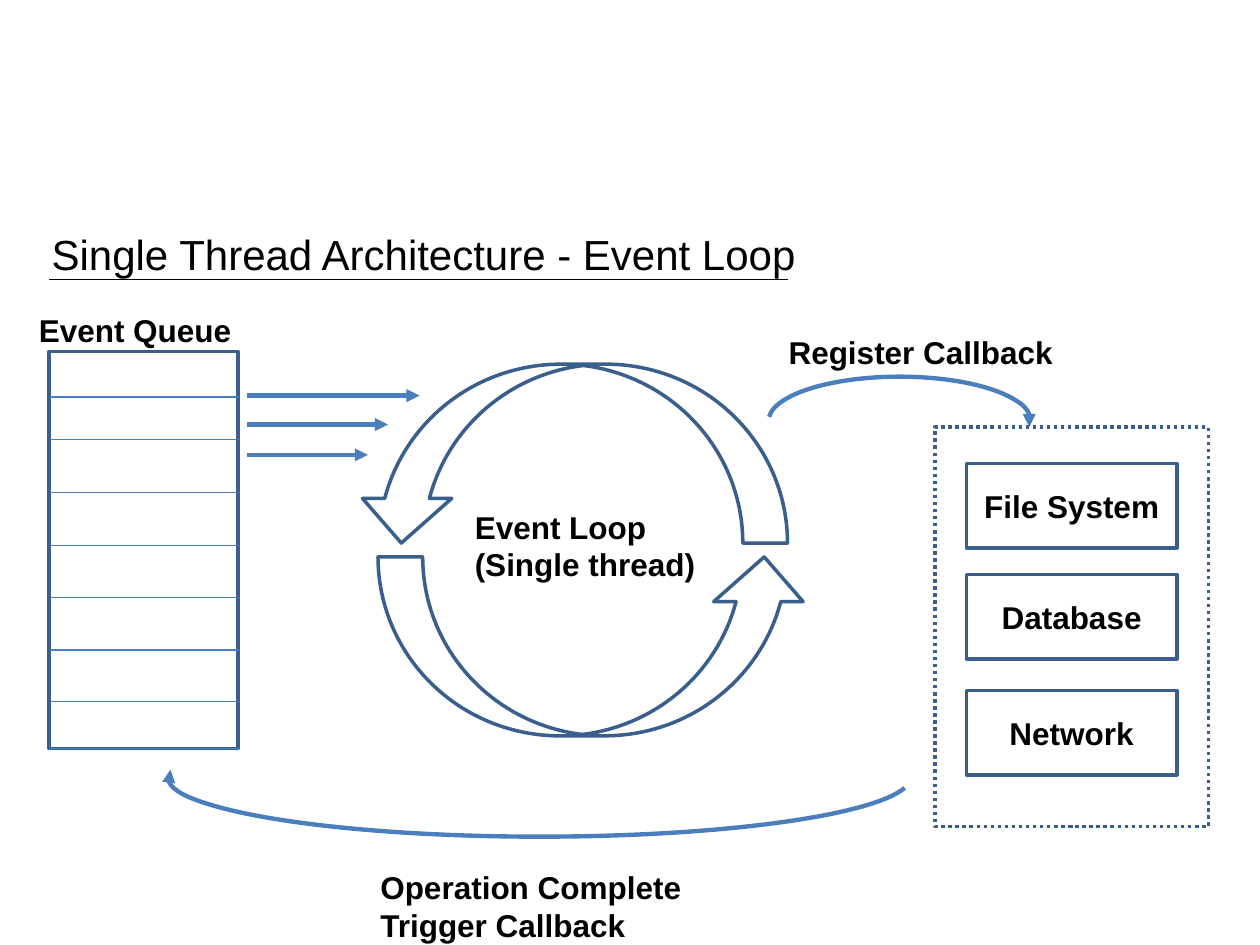
from pptx import Presentation
from pptx.dml.color import RGBColor as Rgb
from pptx.enum.dml import MSO_LINE as Dash
from pptx.enum.shapes import MSO_CONNECTOR as Link, MSO_SHAPE as Kind
from pptx.enum.text import MSO_ANCHOR as Anchor, MSO_AUTO_SIZE as Fit, PP_ALIGN as Align
from pptx.oxml.ns import qn
from pptx.util import Pt
from lxml.etree import SubElement as Sub

PX = 9144
FONT = "Arial"
HUES = {"edge": "3A5F8C", "flow": "4B7EBC", "ink": "000000", "back": "FFFFFF"}


def emu(*vals):
    return [v * PX for v in vals]


def hue(name):
    return Rgb.from_string(HUES[name])


def stroke(line, name, width, head=False):
    line.color.rgb = hue(name)
    line.width = Pt(width)
    if head:
        Sub(line._get_or_add_ln(), qn("a:tailEnd"), type="triangle")


def write(para, text, size=18, bold=True):
    run = para.add_run()
    run.text = text
    run.font.name = FONT
    run.font.size = Pt(size)
    run.font.bold = bold
    run.font.color.rgb = hue("ink")


def shape(host, kind, box, name="edge", width=2, fill=None, head=False):
    item = host.add_shape(kind, *emu(*box))
    item.shadow.inherit = False
    if fill:
        item.fill.solid()
        item.fill.fore_color.rgb = hue(fill)
    else:
        item.fill.background()
    stroke(item.line, name, width, head)
    return item


def rule(host, start, end, name="flow", width=0.75, head=False):
    item = host.add_connector(Link.STRAIGHT, *emu(*start, *end))
    Sub(item._element.spPr, qn("a:effectLst"))
    stroke(item.line, name, width, head)


def label(host, box, lines, soft=False):
    frame = host.add_textbox(*emu(*box)).text_frame
    frame.word_wrap = False
    frame.auto_size = Fit.SHAPE_TO_FIT_TEXT
    para = frame.paragraphs[0]
    for i, line in enumerate(lines):
        if i and soft:
            para.add_line_break()
        elif i:
            para = frame.add_paragraph()
        write(para, line)


def arc(host, box, end, turn=0):
    item = shape(host, Kind.ARC, box, "flow", 2.5, head=True)
    item.adjustments[0] = 109.036
    item.adjustments[1] = end
    item.rotation = turn


def heading(slide, x, y, w, h):
    title = slide.shapes.title
    title.left, title.top, title.width, title.height = emu(x, y, w, h)
    frame = title.text_frame
    frame.vertical_anchor = Anchor.MIDDLE
    para = frame.paragraphs[0]
    para.alignment = Align.LEFT
    write(para, "Single Thread Architecture - Event Loop", 24, False)
    rule(slide.shapes, (x + 8, y + 52), (x + 594, y + 52), "ink")


def queue(host, x, y, w, h):
    label(host, (x - 18, y - 37, 174, 40), ["Event Queue"])
    group = host.add_group_shape().shapes
    shape(group, Kind.RECTANGLE, (x, y, w, h))
    for drop in (36, 70, 112, 154, 195, 237, 278, h):
        rule(group, (x + 1, y + drop), (x + w + 1, y + drop))


def feed(host, x, y):
    for drop, reach in ((0, 137), (23, 112), (47, 96)):
        rule(host, (x, y + drop), (x + reach, y + drop), width=2.5, head=True)


def loop(host, x, y, w, h):
    group = host.add_group_shape().shapes
    shape(group, Kind.CURVED_UP_ARROW, (x + 17, y + 153, w, h))
    top = shape(group, Kind.CURVED_UP_ARROW, (x, y, w, h))
    top.rotation = 180
    label(host, (x + 84, y + 109, 197, 71), ["Event Loop", "(Single thread)"])


def workers(host, x, y, w, h):
    frame = shape(host, Kind.RECTANGLE, (x, y, w, h), fill="back")
    frame.line.dash_style = Dash.ROUND_DOT
    for drop, name in ((29, "File System"), (117, "Database"), (209, "Network")):
        card = shape(host, Kind.RECTANGLE, (x + 25, y + drop, w - 50, 67), fill="back")
        text = card.text_frame
        text.vertical_anchor = Anchor.MIDDLE
        text.paragraphs[0].alignment = Align.CENTER
        write(text.paragraphs[0], name)


def calls(host):
    arc(host, (610, 299, 208, 70), 1.657)
    arc(host, (133, 569, 590, 95), 0.678, 180)
    label(host, (616, 259, 232, 40), ["Register Callback"])
    label(host, (292, 684, 261, 71), ["Operation Complete", "Trigger Callback"], True)


def main():
    deck = Presentation()
    deck.slide_width, deck.slide_height = emu(1000, 750)
    slide = deck.slides.add_slide(deck.slide_layouts[5])
    host = slide.shapes
    heading(slide, 31, 170, 683, 62)
    queue(host, 39, 279, 150, 315)
    feed(host, 196, 314)
    loop(host, 283, 289, 342, 142)
    workers(host, 742, 339, 217, 317)
    calls(host)
    deck.save("out.pptx")


if __name__ == "__main__":
    main()
